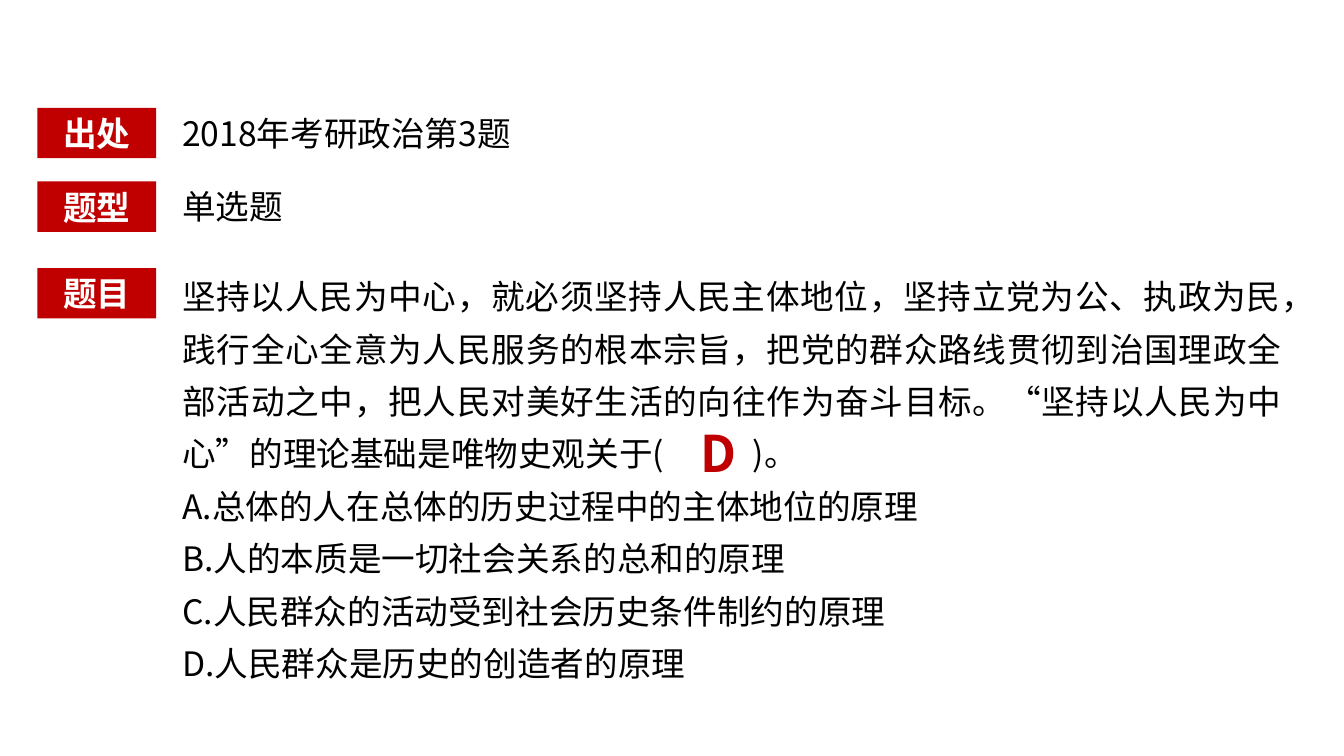
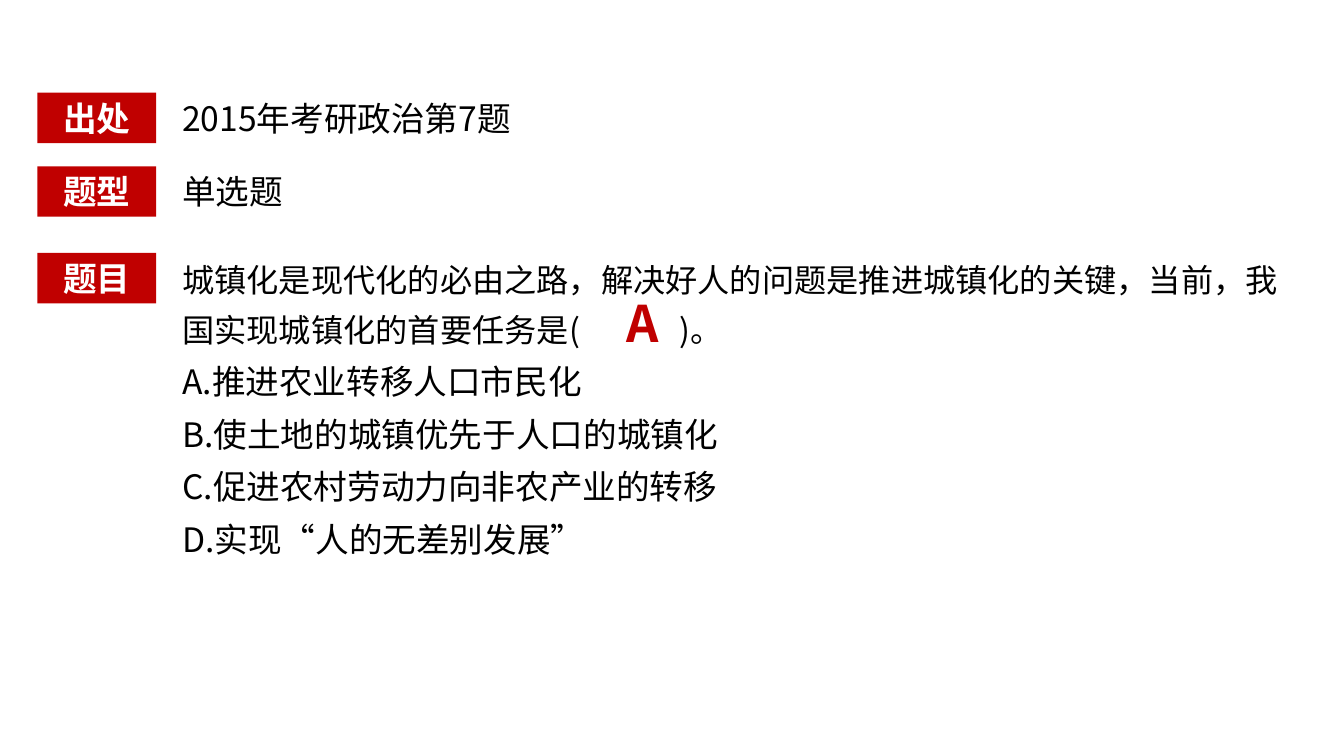
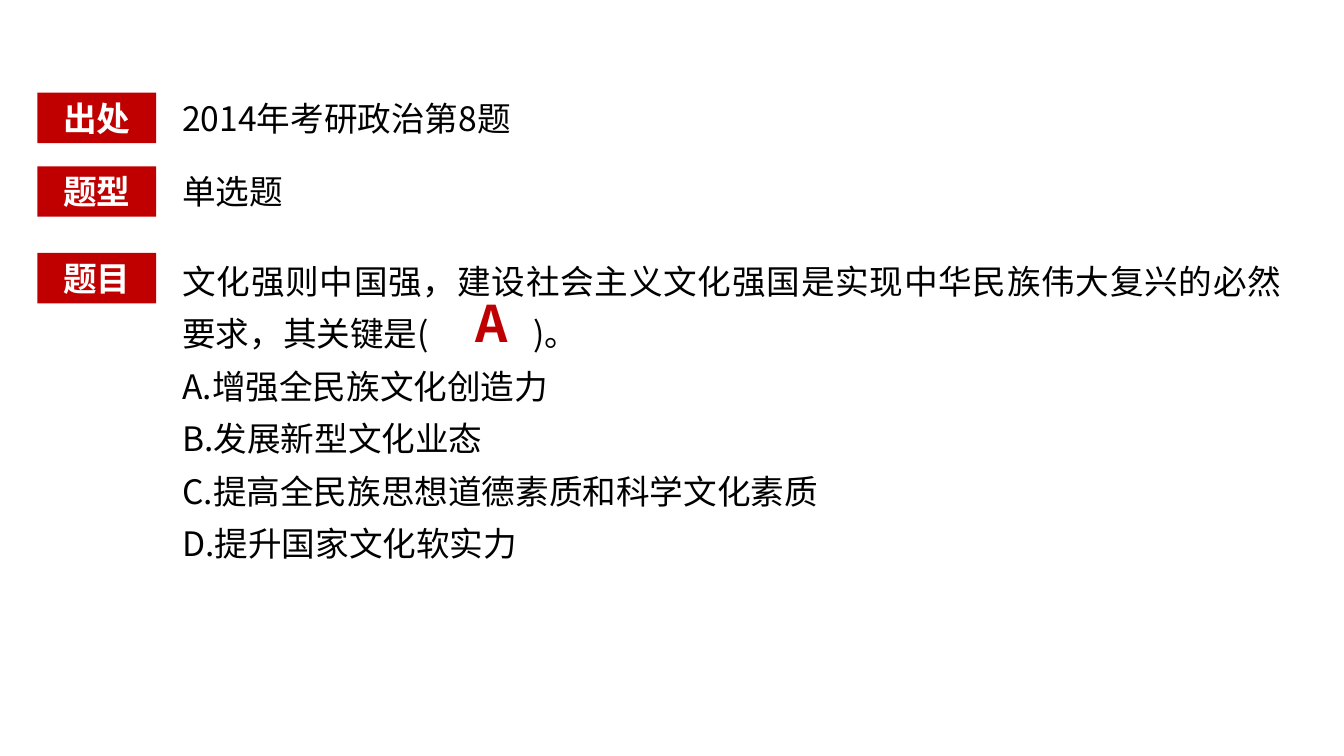
from pptx import Presentation
from pptx.dml.color import RGBColor
from pptx.enum.shapes import MSO_SHAPE as Shape
from pptx.enum.text import MSO_ANCHOR as Anchor, PP_ALIGN as Align
from pptx.oxml.ns import qn
from pptx.util import Inches, Pt
from lxml.etree import SubElement

RED = RGBColor(0xC0, 0x00, 0x00)
BLACK = RGBColor(0x00, 0x00, 0x00)
WHITE = RGBColor(0xFF, 0xFF, 0xFF)
FONT = "Noto Sans CJK SC"
SIZE = 24
TAG_X, TEXT_X = 0.37, 1.71
TAG_W, LINE_W, BODY_W = 1.18, 9.06, 11.1
ROW_H = 0.5
TAGS = [("出处", 0), ("题型", 0.73), ("题目", 1.59)]
BODY_DY = 1.5
KIND = "单选题"

QUIZ = [
    dict(
        top=1.07, source="2018年考研政治第3题",
        stem="坚持以人民为中心，就必须坚持人民主体地位，坚持立党为公、执政为民，"
             "践行全心全意为人民服务的根本宗旨，把党的群众路线贯彻到治国理政全部活动之中，"
             "把人民对美好生活的向往作为奋斗目标。“坚持以人民为中心”的理论基础是唯物史观关于(\t)。",
        size=24, align=Align.JUSTIFY, tab=5.66, height=4.25,
        options=["A.总体的人在总体的历史过程中的主体地位的原理",
                 "B.人的本质是一切社会关系的总和的原理",
                 "C.人民群众的活动受到社会历史条件制约的原理",
                 "D.人民群众是历史的创造者的原理"],
        answer="D", spot=(6.85, 4.14, 0.81),
    ),
    dict(
        top=0.92, source="2015年考研政治第7题",
        stem="城镇化是现代化的必由之路，解决好人的问题是推进城镇化的关键，"
             "当前，我国实现城镇化的首要任务是(\t)。",
        size=23, align=Align.LEFT, tab=4.93, height=3.16,
        options=["A.推进农业转移人口市民化",
                 "B.使土地的城镇优先于人口的城镇化",
                 "C.促进农村劳动力向非农产业的转移",
                 "D.实现“人的无差别发展”"],
        answer="A", spot=(6.12, 2.85, 1.97),
    ),
    dict(
        top=0.92, source="2014年考研政治第8题",
        stem="文化强则中国强，建设社会主义文化强国是实现中华民族伟大复兴的必然要求，"
             "其关键是(\t)。",
        size=24, align=Align.JUSTIFY, tab=3.48, height=3.19,
        options=["A.增强全民族文化创造力",
                 "B.发展新型文化业态",
                 "C.提高全民族思想道德素质和科学文化素质",
                 "D.提升国家文化软实力"],
        answer="A", spot=(4.62, 2.85, 1.97),
    ),
]


def style(para, color=BLACK, size=SIZE, bold=False, align=Align.LEFT):
    """Set the alignment and font of a paragraph."""
    para.alignment = align
    font = para.font
    font.size, font.bold, font.name = Pt(size), bold, FONT
    font.color.rgb = color
    SubElement(font._element, qn("a:ea"), typeface=FONT)


def add_text(slide, x, y, w, h, text, **look):
    """Add a text box with one styled paragraph."""
    frame = slide.shapes.add_textbox(*map(Inches, (x, y, w, h))).text_frame
    frame.word_wrap = True
    para = frame.paragraphs[0]
    para.text = text
    style(para, **look)


def add_tag(slide, y, text):
    """Add a red label."""
    tag = slide.shapes.add_shape(
        Shape.RECTANGLE, *map(Inches, (TAG_X, y, TAG_W, ROW_H)))
    tag.shadow.inherit = False
    tag.fill.solid()
    tag.fill.fore_color.rgb = RED
    tag.line.fill.background()
    frame = tag.text_frame
    frame.vertical_anchor = Anchor.MIDDLE
    para = frame.paragraphs[0]
    para.text = text
    style(para, WHITE, bold=True, align=Align.CENTER)


def add_body(slide, quiz):
    """Add the question with its options."""
    box = map(Inches, (TEXT_X, quiz["top"] + BODY_DY, BODY_W, quiz["height"]))
    frame = slide.shapes.add_textbox(*box).text_frame
    frame.word_wrap = True
    for i, text in enumerate([quiz["stem"], *quiz["options"]]):
        para = frame.add_paragraph() if i else frame.paragraphs[0]
        para.text = text
        para.line_spacing = 1.3
        if i:
            style(para)
        else:
            tabs = SubElement(para._p.get_or_add_pPr(), qn("a:tabLst"))
            SubElement(tabs, qn("a:tab"), pos=str(Inches(quiz["tab"])), algn="l")
            style(para, size=quiz["size"], align=quiz["align"])


def add_quiz(deck, quiz):
    """Add a slide for one question."""
    slide = deck.slides.add_slide(deck.slide_layouts[6])
    top = quiz["top"]
    for text, dy in TAGS:
        add_tag(slide, top + dy, text)
    for text, (_, dy) in zip([quiz["source"], KIND], TAGS):
        add_text(slide, TEXT_X, top + dy, LINE_W, ROW_H, text)
    add_body(slide, quiz)
    x, y, w = quiz["spot"]
    add_text(slide, x, y, w, 0.71, quiz["answer"], color=RED, size=36, bold=True)


def main():
    """Build the deck."""
    deck = Presentation()
    deck.slide_width, deck.slide_height = Inches(13.33), Inches(7.5)
    for quiz in QUIZ:
        add_quiz(deck, quiz)
    deck.save("out.pptx")


if __name__ == "__main__":
    main()
